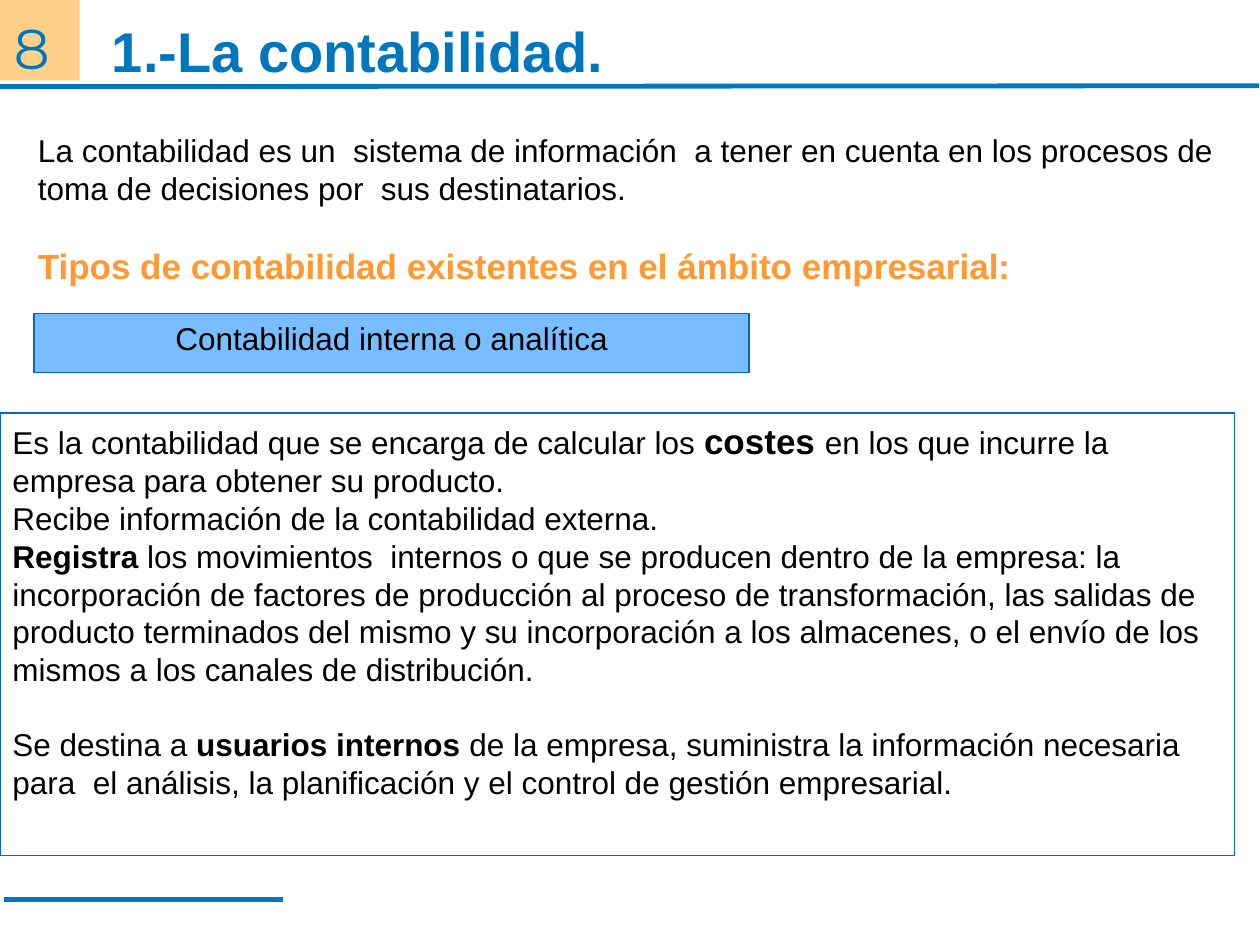
import lxml.etree
import pptx
import pptx.util
import pptx.dml.color
import pptx.enum.shapes
import pptx.enum.text
import pptx.oxml.ns

Pt = pptx.util.Pt
KIND = pptx.enum.shapes.MSO_SHAPE
ALIGN = pptx.enum.text.PP_ALIGN
ANCHOR = pptx.enum.text.MSO_ANCHOR
qn = pptx.oxml.ns.qn

HUES = {
    "blue": "0077BD", "edge": "0066CC", "sky": "77BDFF",
    "tab": "FF9900", "head": "FF9933", "text": "000000", "white": "FFFFFF",
}

# Each paragraph: space before, then runs of (text, bold, size)
NOTES = [
    (0, [("Es la contabilidad que se encarga de calcular los ", False, 18),
         ("costes ", True, 20),
         ("en los que incurre la empresa para obtener su producto.", False, 18)]),
    (0, [("Recibe información de la contabilidad externa.", False, 18)]),
    (0, [("Registra", True, 18),
         (" los movimientos  internos o que se producen dentro de la empresa: "
          "la incorporación de factores de producción al proceso de "
          "transformación, las salidas de producto terminados del mismo y su "
          "incorporación a los almacenes, o el envío de los mismos a los "
          "canales de distribución.", False, 18)]),
    (21, [("Se destina a ", False, 18),
          ("usuarios internos", True, 18),
          (" de la empresa, suministra la información necesaria para  el "
           "análisis, la planificación y el control de gestión empresarial.",
           False, 18)]),
]


def color(name):
    return pptx.dml.color.RGBColor.from_string(HUES[name])


def add_tag(parent, name):
    return lxml.etree.SubElement(parent, qn(name))


def place(shape, box):
    shape.left, shape.top, shape.width, shape.height = map(Pt, box)


def frame(shape, pad=(7.2, 3.6, 7.2, 3.6), anchor=ANCHOR.TOP):
    body = shape.text_frame
    body.word_wrap = True
    body.auto_size = pptx.enum.text.MSO_AUTO_SIZE.NONE
    body.vertical_anchor = anchor
    (body.margin_left, body.margin_top,
     body.margin_right, body.margin_bottom) = map(Pt, pad)
    return body


def style(para, size, hue="text", bold=False, face="Arial", align=ALIGN.LEFT):
    font = para.font
    font.name, font.size, font.bold = face, Pt(size), bold
    font.color.rgb = color(hue)
    para.alignment = align
    para.space_before = Pt(0)


def write(body, text, size, **look):
    para = body.paragraphs[0]
    para.text = text
    style(para, size, **look)
    return para


def block(slide, box, fill, edge=None, kind=KIND.FLOWCHART_PROCESS):
    shape = slide.shapes.add_shape(kind, *map(Pt, box))
    shape.shadow.inherit = False
    shape.fill.solid()
    shape.fill.fore_color.rgb = color(fill)
    if edge:
        shape.line.color.rgb = color(edge)
        shape.line.width = Pt(0.75)
    else:
        shape.line.fill.background()
    return shape


def rule(slide, x, y, wide, rise=0):
    line = slide.shapes.add_connector(
        pptx.enum.shapes.MSO_CONNECTOR.STRAIGHT,
        Pt(x), Pt(y), Pt(x + wide), Pt(y - rise))
    line.line.color.rgb = color("blue")
    line.line.width = Pt(2.75)
    add_tag(line._element.spPr, "a:effectLst")


def header(slide, box):
    x, y, wide, high = box
    rule(slide, x - 0.5, y + high, wide, rise=0.5)

    # Number tab, 46 % opaque
    tab = block(slide, (x, y, 45.5, 46), "tab", kind=KIND.RECTANGLE)
    paint = tab._element.spPr.find(".//" + qn("a:srgbClr"))
    add_tag(paint, "a:alpha").set("val", "46000")
    body = frame(tab, (8, 0, 0, 0))
    para = write(body, "8", 32, hue="blue", face="Montserrat")
    para.line_spacing = 1.2

    # Title
    title = slide.shapes.title
    place(title, (x + 48, y + 15, 499, 27.5))
    body = frame(title, (16, 0, 0, 0), ANCHOR.MIDDLE)
    write(body, "1.-La contabilidad.", 32, hue="blue", bold=True)


def intro(slide, box):
    x, y, wide, high = box
    lead = slide.placeholders[1]
    place(lead, (x, y, wide, 51))
    para = write(frame(lead),
                 "La contabilidad es un  sistema de información  a tener en "
                 "cuenta en los procesos de toma de decisiones por  sus "
                 "destinatarios.", 18)
    # No bullet: it goes before the font settings
    props = para._p.get_or_add_pPr()
    props.set("marL", "0")
    props.set("indent", "0")
    plain = add_tag(props, "a:buNone")
    props.find(qn("a:defRPr")).addprevious(plain)

    # Heading at the foot of the region
    head = slide.shapes.add_textbox(*map(Pt, (x, y + high - 37, 615, 37)))
    body = frame(head, (7.2, 0.7, 7.2, 0.7), ANCHOR.MIDDLE)
    para = write(body,
                 "Tipos de contabilidad existentes en el ámbito empresarial:",
                 20, hue="head", bold=True)
    para.line_spacing = 1.45


def panel(slide, box):
    x, y, wide, high = box
    # Label
    label = block(slide, (x + 19.5, y, 408.5, 34), "sky", "edge")
    write(frame(label), "Contabilidad interna o analítica", 18,
          align=ALIGN.CENTER)

    # Notes
    notes = block(slide, (x, y + 57, wide, high - 57), "white", "edge")
    body = frame(notes)
    for spot, (gap, runs) in enumerate(NOTES):
        para = body.add_paragraph() if spot else body.paragraphs[0]
        style(para, 18)
        para.space_before = Pt(gap)
        for text, bold, size in runs:
            run = para.add_run()
            run.text = text
            if bold:
                run.font.bold = True
            if size != 18:
                run.font.size = Pt(size)


def main():
    deck = pptx.Presentation()
    deck.slide_width, deck.slide_height = Pt(720), Pt(540)
    slide = deck.slides.add_slide(deck.slide_layouts[1])
    header(slide, (0, 0, 720, 49.5))
    intro(slide, (14.5, 71.5, 686, 93.5))
    panel(slide, (0, 179, 705.5, 310))
    rule(slide, 2.5, 514, 159)  # footer
    deck.save("out.pptx")


if __name__ == "__main__":
    main()
